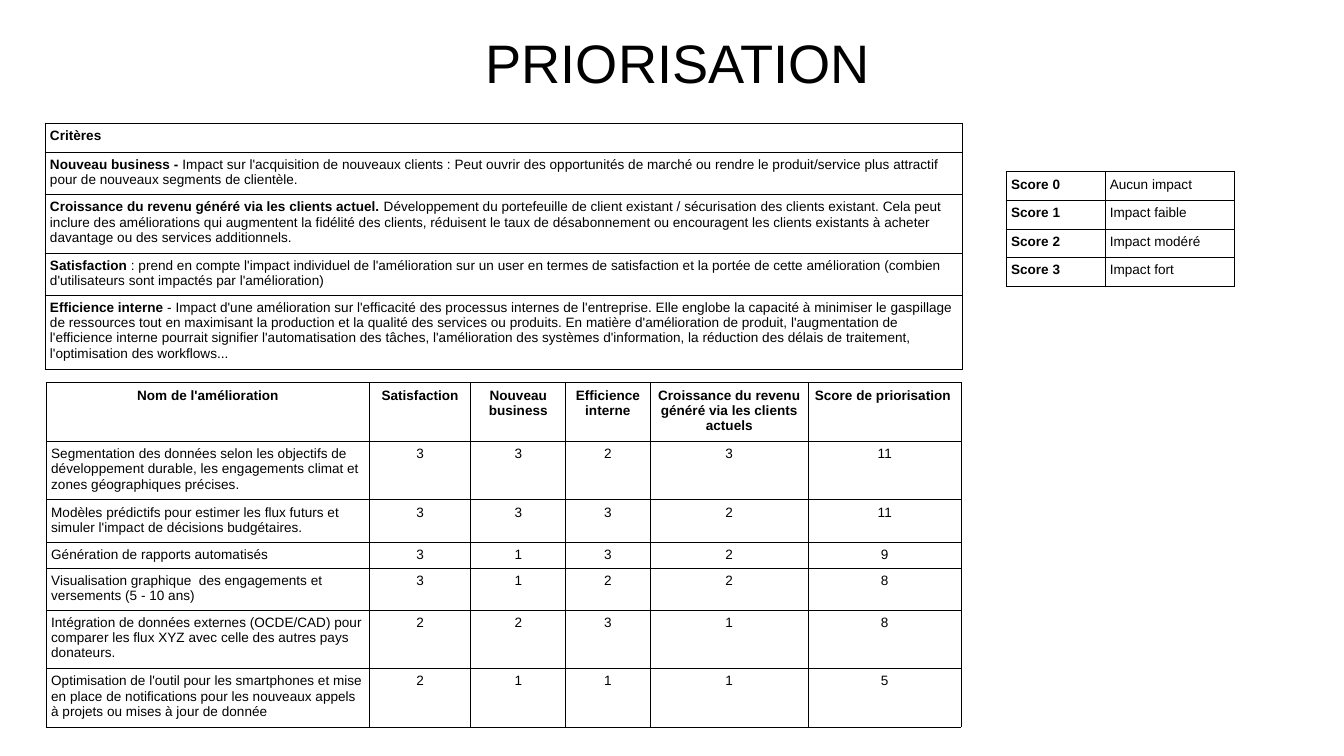
from dataclasses import dataclass

import pptx
import pptx.dml.color
import pptx.enum.text
import pptx.oxml.ns
import pptx.presentation
import pptx.slide
import pptx.table
import pptx.text.text
import pptx.util
from lxml import etree

Inches = pptx.util.Inches
Pt = pptx.util.Pt
ALIGN = pptx.enum.text.PP_ALIGN
ANCHOR = pptx.enum.text.MSO_ANCHOR
qn = pptx.oxml.ns.qn

BLACK = pptx.dml.color.RGBColor(0x00, 0x00, 0x00)
FONT = "Arial"
CELL_MARGIN = Inches(0.04)
BORDER = Pt(0.57)


@dataclass
class Run:
    text: str
    bold: bool = False


@dataclass
class Cell:
    runs: list[Run]
    align: ALIGN = ALIGN.LEFT


@dataclass
class Grid:
    left: float
    top: float
    cols: list[float]
    rows: list[float]
    cells: list[list[Cell]]


def add_text(p: pptx.text.text._Paragraph, text: str, size: float = 8, bold: bool = False) -> None:
    r = p.add_run()
    r.text = text
    r.font.name = FONT
    r.font.size = Pt(size)
    r.font.bold = bold
    r.font.color.rgb = BLACK


def set_borders(cell: pptx.table._Cell) -> None:
    tc_pr = cell._tc.get_or_add_tcPr()
    for side in ("a:lnL", "a:lnR", "a:lnT", "a:lnB"):
        ln = etree.SubElement(tc_pr, qn(side), w=str(int(BORDER)))
        fill = etree.SubElement(ln, qn("a:solidFill"))
        etree.SubElement(fill, qn("a:srgbClr"), val=str(BLACK))


def fill_cell(cell: pptx.table._Cell, content: Cell) -> None:
    cell.margin_left = cell.margin_right = CELL_MARGIN
    cell.margin_top = cell.margin_bottom = CELL_MARGIN
    cell.vertical_anchor = ANCHOR.TOP
    set_borders(cell)
    cell.fill.background()
    p = cell.text_frame.paragraphs[0]
    p.alignment = content.align
    for run in content.runs:
        add_text(p, run.text, bold=run.bold)


def add_grid(s: pptx.slide.Slide, grid: Grid) -> None:
    table = s.shapes.add_table(
        len(grid.rows), len(grid.cols), Inches(grid.left), Inches(grid.top),
        Inches(sum(grid.cols)), Inches(sum(grid.rows))).table
    table.first_row = False
    table.horz_banding = False
    for col, width in zip(table.columns, grid.cols):
        col.width = Inches(width)
    for row, height, contents in zip(table.rows, grid.rows, grid.cells):
        row.height = Inches(height)
        for cell, content in zip(row.cells, contents):
            fill_cell(cell, content)


def add_title(s: pptx.slide.Slide, text: str) -> None:
    sp = s.shapes.title
    sp.left, sp.top, sp.width, sp.height = (Inches(v) for v in (0.6, 0.2, 9.92, 0.61))
    tf = sp.text_frame
    tf.margin_left = tf.margin_right = tf.margin_top = tf.margin_bottom = 0
    tf.vertical_anchor = ANCHOR.MIDDLE
    tf.auto_size = pptx.enum.text.MSO_AUTO_SIZE.SHAPE_TO_FIT_TEXT
    p = tf.paragraphs[0]
    p.alignment = ALIGN.CENTER
    add_text(p, text, size=32)


def trim_template(prs: pptx.presentation.Presentation, kept: pptx.slide.SlideLayout) -> None:
    for layout in list(prs.slide_layouts):
        if layout != kept:
            prs.slide_layouts.remove(layout)
    for owner in (kept, prs.slide_master):
        for sp in list(owner.placeholders):
            if sp.top + sp.height > prs.slide_height:
                sp.element.getparent().remove(sp.element)


CRITERIA = [
    ("Critères", ""),
    ("Nouveau business - ",
     "Impact sur l'acquisition de nouveaux clients : Peut ouvrir des opportunités de marché "
     "ou rendre le produit/service plus attractif pour de nouveaux segments de clientèle."),
    ("Croissance du revenu généré via les clients actuel.",
     " Développement du portefeuille de client existant / sécurisation des clients existant. "
     "Cela peut inclure des améliorations qui augmentent la fidélité des clients, réduisent le "
     "taux de désabonnement ou encouragent les clients existants à acheter davantage ou des "
     "services additionnels."),
    ("Satisfaction ",
     ": prend en compte l'impact individuel de l'amélioration sur un user en termes de "
     "satisfaction et la portée de cette amélioration (combien d'utilisateurs sont impactés "
     "par l'amélioration)"),
    ("Efficience interne",
     " - Impact d'une amélioration sur l'efficacité des processus internes de l'entreprise. "
     "Elle englobe la capacité à minimiser le gaspillage de ressources tout en maximisant la "
     "production et la qualité des services ou produits. En matière d'amélioration de produit, "
     "l'augmentation de l'efficience interne pourrait signifier l'automatisation des tâches, "
     "l'amélioration des systèmes d'information, la réduction des délais de traitement, "
     "l'optimisation des workflows..."),
]
IMPACTS = ["Aucun impact", "Impact faible", "Impact modéré", "Impact fort"]
HEADERS = ["Nom de l'amélioration", "Satisfaction", "Nouveau business", "Efficience interne",
           "Croissance du revenu généré via les clients actuels", "Score de priorisation "]
IMPROVEMENTS = [
    ("Segmentation des données selon les objectifs de développement durable, les engagements "
     "climat et zones géographiques précises.", (3, 3, 2, 3)),
    ("Modèles prédictifs pour estimer les flux futurs et simuler l'impact de décisions "
     "budgétaires.", (3, 3, 3, 2)),
    ("Génération de rapports automatisés", (3, 1, 3, 2)),
    ("Visualisation graphique  des engagements et versements (5 - 10 ans)", (3, 1, 2, 2)),
    ("Intégration de données externes (OCDE/CAD) pour comparer les flux XYZ avec celle des "
     "autres pays donateurs.", (2, 2, 3, 1)),
    ("Optimisation de l'outil pour les smartphones et mise en place de notifications pour les "
     "nouveaux appels à projets ou mises à jour de donnée", (2, 1, 1, 1)),
]


def score_row(name: str, scores: tuple[int, ...]) -> list[Cell]:
    values = [*scores, sum(scores)]
    return [Cell([Run(name)])] + [Cell([Run(str(v))], ALIGN.CENTER) for v in values]


GRIDS = [
    Grid(0.37, 1.01, [7.52], [0.24, 0.34, 0.47, 0.34, 0.61],
         [[Cell([Run(t, bold) for t, bold in ((label, True), (detail, False)) if t])]
          for label, detail in CRITERIA]),
    Grid(8.25, 1.41, [0.81, 1.06], [0.94 / len(IMPACTS)] * len(IMPACTS),
         [[Cell([Run(f"Score {i}", True)]), Cell([Run(impact)])]
          for i, impact in enumerate(IMPACTS)]),
    Grid(0.38, 3.14, [2.65, 0.83, 0.78, 0.69, 1.3, 1.25],
         [0.47, 0.48, 0.34, 0.21, 0.34, 0.47, 0.47],
         [[Cell([Run(h, True)], ALIGN.CENTER) for h in HEADERS]]
         + [score_row(name, scores) for name, scores in IMPROVEMENTS]),
]


def main() -> None:
    prs = pptx.Presentation()
    prs.slide_width = Inches(11.02)
    prs.slide_height = Inches(6.2)
    title_only = prs.slide_layouts[5]
    trim_template(prs, title_only)
    s = prs.slides.add_slide(title_only)
    add_title(s, "PRIORISATION")
    for grid in GRIDS:
        add_grid(s, grid)
    prs.save("out.pptx")


if __name__ == "__main__":
    main()
